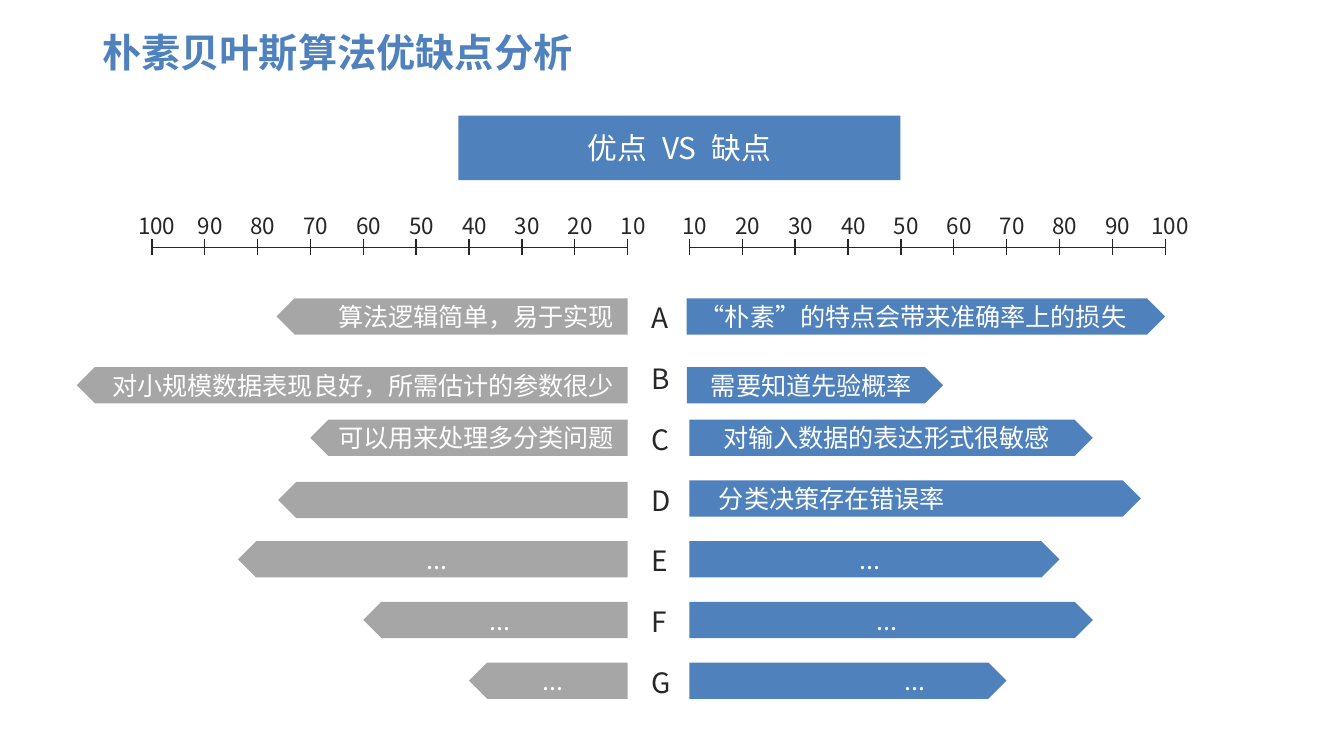
import pptx
import pptx.dml.color
import pptx.enum.shapes
import pptx.enum.text
import pptx.oxml.ns
import pptx.util
from lxml import etree

RGBColor = pptx.dml.color.RGBColor
BLUE = RGBColor(0x4F, 0x81, 0xBD)
GRAY = RGBColor(0xA6, 0xA6, 0xA6)
DARK = RGBColor(0x26, 0x26, 0x26)
WHITE = RGBColor(0xFF, 0xFF, 0xFF)
FONT = "Noto Sans CJK SC"

ALIGN = pptx.enum.text.PP_ALIGN
SHAPES = pptx.enum.shapes.MSO_SHAPE
inches = pptx.util.Inches

WIDTH = 10
HEIGHT = WIDTH * 9 / 16
LEFT_ZERO, RIGHT_ZERO = 4.67, 5.13  # inner ends of the two scales
STEP = 3.54 / 9  # one scale interval
AXIS_TOP, TICK_HALF = 1.84, 0.06
ROW_TOP, ROW_STEP, BAR_HEIGHT = 2.22, 2.71 / 6, 0.27

# Text, length in scale steps, alignment, extra left margin, shift (right, down)
PROS = [
    ("算法逻辑简单，易于实现", 6.64, ALIGN.RIGHT, 0, (0, 0)),
    ("对小规模数据表现良好，所需估计的参数很少", 10.42, ALIGN.RIGHT, 0, (0, 0.06)),
    ("可以用来处理多分类问题", 6, ALIGN.RIGHT, 0, (0, 0)),
    ("", 6.61, ALIGN.CENTER, 0, (0, 0.01)),
    ("...", 7.37, ALIGN.CENTER, 0, (0, 0)),
    ("...", 5, ALIGN.CENTER, 0, (0, 0)),
    ("...", 3, ALIGN.CENTER, 0, (0, 0)),
]
CONS = [
    ("“朴素”的特点会带来准确率上的损失", 9.05, ALIGN.LEFT, 0, (-0.02, 0)),
    ("需要知道先验概率", 4.85, ALIGN.LEFT, 0.08, (-0.02, 0.06)),
    ("对输入数据的表达形式很敏感", 7.63, ALIGN.CENTER, 0, (0, 0)),
    ("分类决策存在错误率", 8.54, ALIGN.LEFT, 0.12, (0, 0)),
    ("...", 7, ALIGN.CENTER, 0, (0, 0)),
    ("...", 7.63, ALIGN.CENTER, 0, (0, 0)),
    ("...", 6, ALIGN.CENTER, 1.06, (0, 0)),
]


def write(frame, text, size, color, align=ALIGN.LEFT, bold=False):
    """Put one styled paragraph into a text frame."""
    para = frame.paragraphs[0]
    para.alignment = align
    span = para.add_run()
    span.text = text
    font = span.font
    font.name, font.size, font.bold = FONT, pptx.util.Pt(size), bold
    font.color.rgb = color
    east_asian = etree.SubElement(span._r.get_or_add_rPr(), pptx.oxml.ns.qn("a:ea"))
    east_asian.set("typeface", FONT)


def add_label(page, area, text, size, color=DARK, align=ALIGN.LEFT, bold=False, wrap=False):
    """Add a text box that grows with its text."""
    box = page.shapes.add_textbox(*map(inches, area))
    box.text_frame.word_wrap = wrap
    box.text_frame.auto_size = pptx.enum.text.MSO_AUTO_SIZE.SHAPE_TO_FIT_TEXT
    write(box.text_frame, text, size, color, align, bold)


def add_block(page, kind, area, color):
    """Add a flat filled shape without outline."""
    block = page.shapes.add_shape(kind, *map(inches, area))
    block.shadow.inherit = False
    block.fill.solid()
    block.fill.fore_color.rgb = color
    block.line.fill.background()
    block.text_frame.word_wrap = True
    block.text_frame.vertical_anchor = pptx.enum.text.MSO_ANCHOR.MIDDLE
    return block


def add_line(group, start, end):
    """Add a thin dark straight line."""
    line = group.shapes.add_connector(
        pptx.enum.shapes.MSO_CONNECTOR.STRAIGHT, *map(inches, start + end))
    line.line.color.rgb = DARK
    line.line.width = pptx.util.Pt(0.75)
    etree.SubElement(line._element.spPr, pptx.oxml.ns.qn("a:effectLst"))


def add_scale(page, zero, direction):
    """Add a scale from 10 to 100 that runs outwards from zero."""
    group = page.shapes.add_group_shape()
    ticks = [zero + direction * STEP * index for index in range(10)]
    add_line(group, (min(ticks), AXIS_TOP), (max(ticks), AXIS_TOP))
    for index, tick in enumerate(ticks):
        add_line(group, (tick, AXIS_TOP + TICK_HALF), (tick, AXIS_TOP - TICK_HALF))
        width = 0.5 if index == 9 else 0.4
        add_label(page, (tick + 0.05 - width / 2, 1.53, width, 0.3),
                  str(10 * (index + 1)), 12)


def add_bars(page, bars, zero, direction, color):
    """Add one pointed bar per row, running outwards from zero."""
    for row, (text, steps, align, margin, (right, down)) in enumerate(bars):
        length = steps * STEP
        left = zero + right - (length if direction < 0 else 0)
        top = ROW_TOP + row * ROW_STEP + down
        bar = add_block(page, SHAPES.PENTAGON, (left, top, length, BAR_HEIGHT), color)
        if direction < 0:
            bar._element.spPr.xfrm.set("flipH", "1")
        if text:
            bar.text_frame.margin_left = inches(0.1 + margin)
            write(bar.text_frame, text, 13.5, WHITE, align)


def main():
    """Build the comparison slide and save it."""
    deck = pptx.Presentation()
    deck.slide_width, deck.slide_height = inches(WIDTH), inches(HEIGHT)
    page = deck.slides.add_slide(deck.slide_layouts[6])

    for bars, zero, direction, color in (
            (PROS, LEFT_ZERO, -1, GRAY), (CONS, RIGHT_ZERO, 1, BLUE)):
        add_scale(page, zero, direction)
        add_bars(page, bars, zero, direction, color)
    for row, letter in enumerate("ABCDEFG"):
        add_label(page, (4.75, ROW_TOP - 0.03 + row * ROW_STEP, 0.34, 0.35), letter, 15)

    banner = add_block(page, SHAPES.RECTANGLE, (3.41, 0.86, 3.29, 0.48), BLUE)
    write(banner.text_frame, "优点\u2002VS\u2002缺点", 16, WHITE, ALIGN.CENTER)
    add_label(page, (0.57, 0.16, 3.88, 0.45), "朴素贝叶斯算法优缺点分析", 21,
              BLUE, ALIGN.CENTER, bold=True, wrap=True)

    deck.save("out.pptx")


main()
